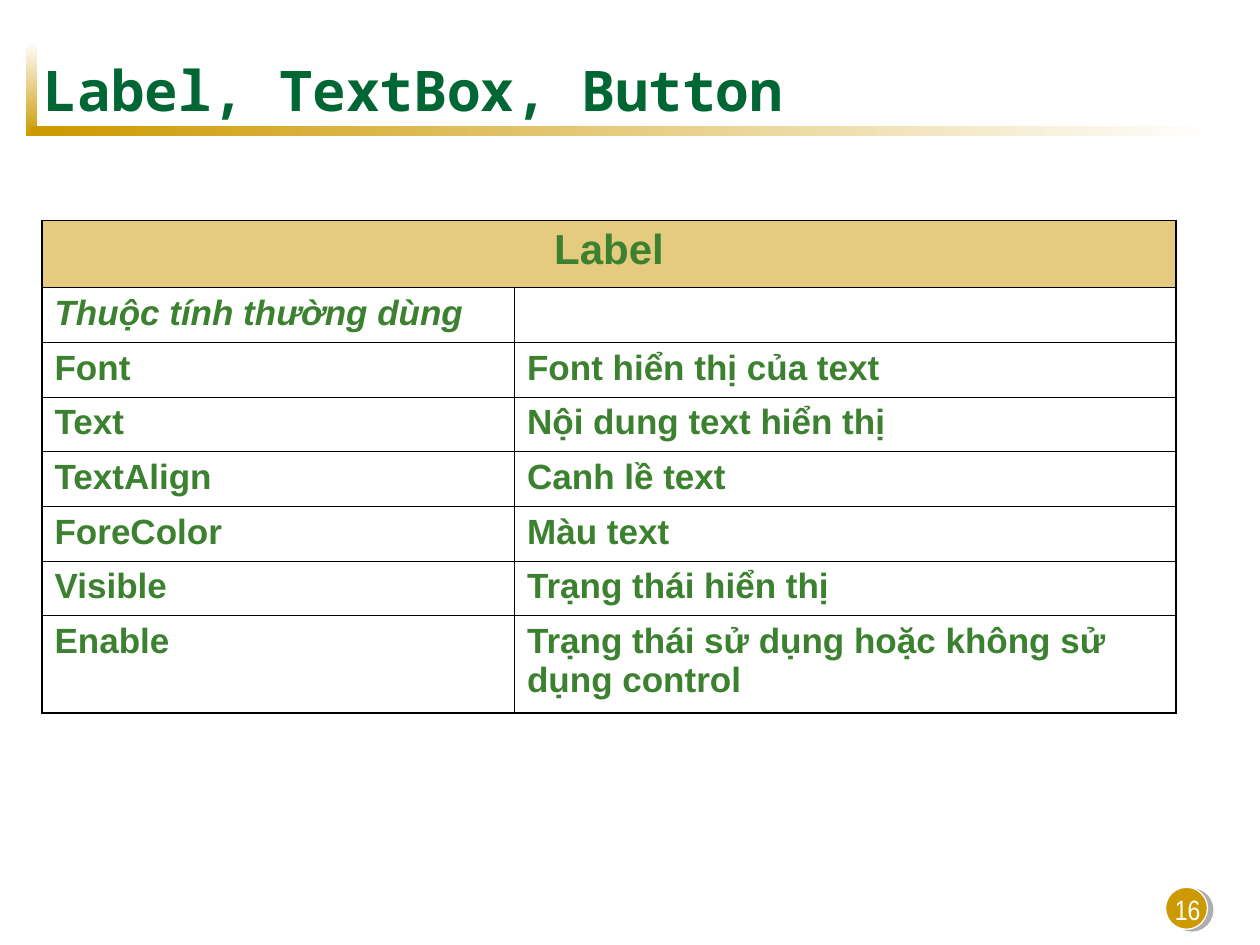
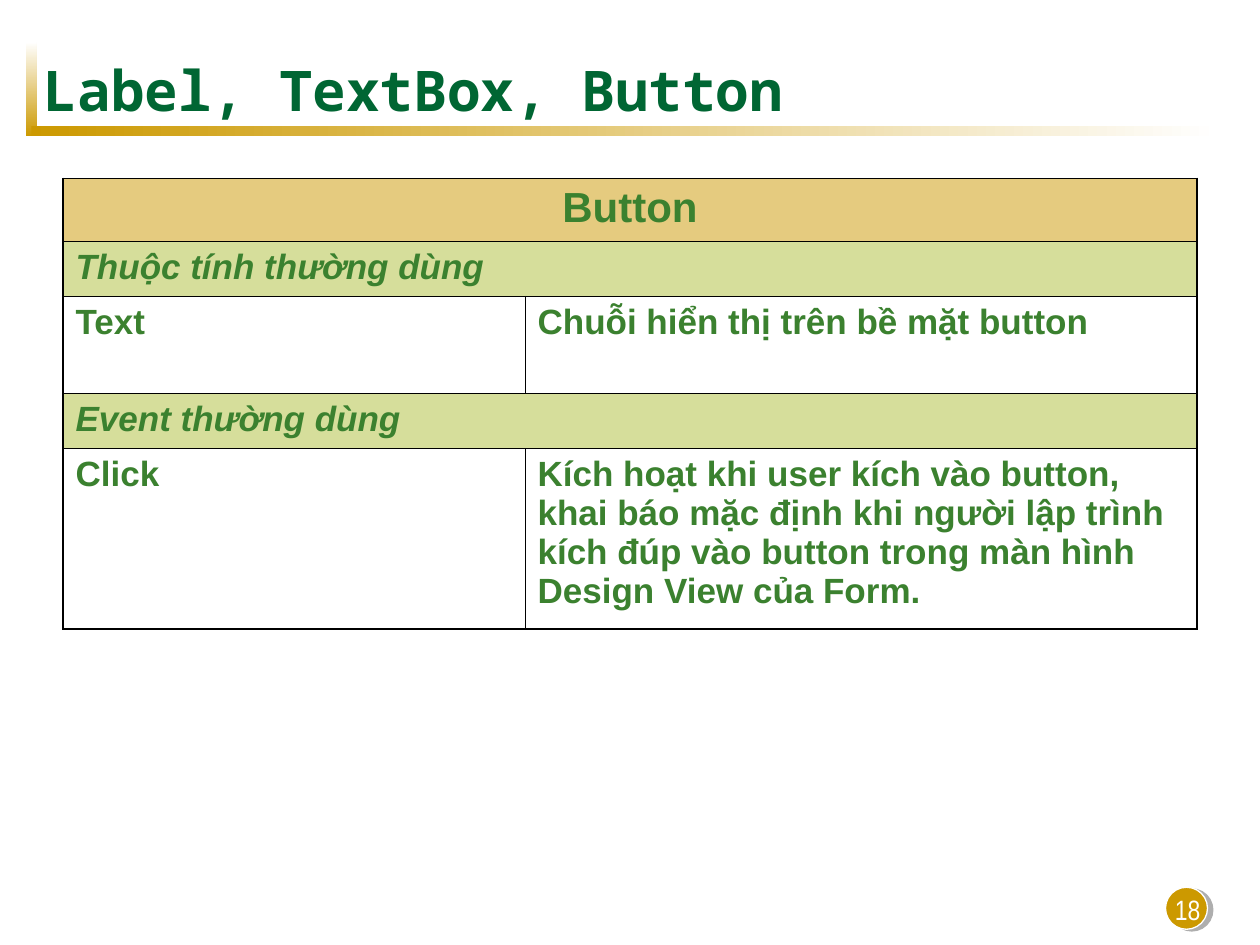
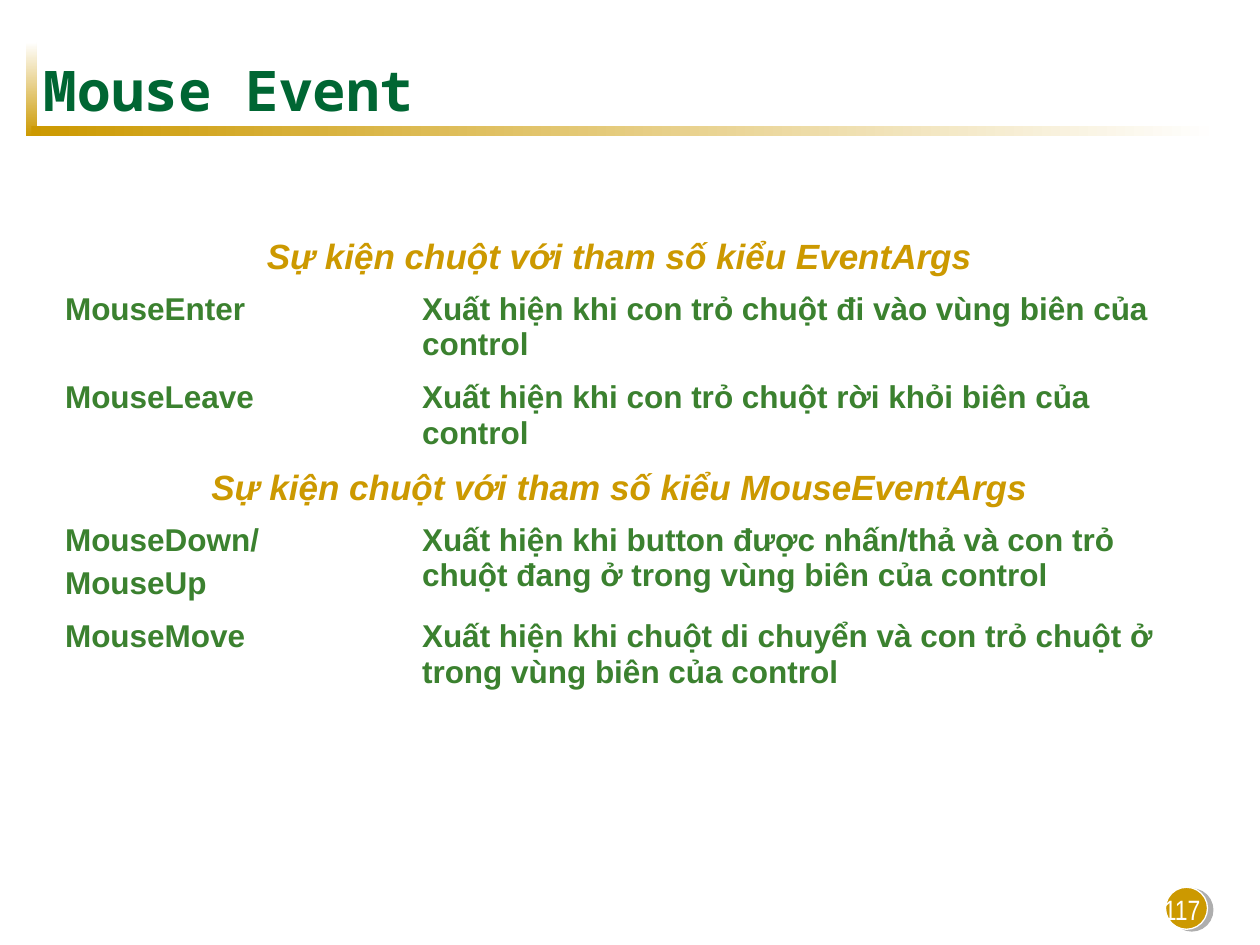
from collections import namedtuple

from lxml.etree import SubElement
from pptx import Presentation
from pptx.dml.color import RGBColor as RGB
from pptx.enum.shapes import MSO_SHAPE as SHAPE
from pptx.enum.text import MSO_ANCHOR as ANCHOR, PP_ALIGN as ALIGN
from pptx.oxml.ns import qn
from pptx.util import Pt

PX = 7620
COLORS = {
    "white": "FFFFFF",
    "black": "000000",
    "gold": "CC9900",
    "lime": "AFBF39",
    "title": "006633",
    "text": "3B812F",
    "shadow": "5F5F5F",
}
NO_GRID_STYLE = "{2D5ABB26-0587-4C30-8999-92F81FD0307C}"
OUTER, INNER = 1.08, 0.45

RowStyle = namedtuple("RowStyle", "size color italic align fill")
ROW_STYLES = {
    "head": RowStyle(24, "text", False, ALIGN.CENTER, "gold"),
    "band": RowStyle(20, "text", True, ALIGN.LEFT, "lime"),
    "label": RowStyle(20, "text", True, ALIGN.LEFT, None),
    "body": RowStyle(20, "text", False, ALIGN.LEFT, None),
    "group": RowStyle(20, "gold", True, ALIGN.CENTER, None),
    "event": RowStyle(18, "text", False, ALIGN.LEFT, None),
}

LABEL_ROWS = [
    ("head", 64, "Label"),
    ("label", 52, "Thuộc tính thường dùng", ""),
    ("body", 52, "Font", "Font hiển thị của text"),
    ("body", 52, "Text", "Nội dung text hiển thị"),
    ("body", 52, "TextAlign", "Canh lề text"),
    ("body", 52, "ForeColor", "Màu text"),
    ("body", 52, "Visible", "Trạng thái hiển thị"),
    ("body", 93, "Enable", "Trạng thái sử dụng hoặc không sử dụng control"),
]
BUTTON_ROWS = [
    ("head", 60, "Button"),
    ("band", 52, "Thuộc tính thường dùng"),
    ("body", 93, "Text", "Chuỗi hiển thị trên bề mặt button"),
    ("band", 52, "Event thường dùng"),
    ("body", 172, "Click",
     "Kích hoạt khi user kích vào button, khai báo mặc định khi người lập trình "
     "kích đúp vào button trong màn hình Design View của Form."),
]
MOUSE_ROWS = [
    ("group", 52, "Sự kiện chuột với tham số kiểu EventArgs"),
    ("event", 84, "MouseEnter", "Xuất hiện khi con trỏ chuột đi vào vùng biên của control"),
    ("event", 84, "MouseLeave", "Xuất hiện khi con trỏ chuột rời khỏi biên của control"),
    ("group", 52, "Sự kiện chuột với tham số kiểu MouseEventArgs"),
    ("event", 91, "MouseDown/\nMouseUp",
     "Xuất hiện khi button được nhấn/thả và con trỏ chuột đang ở trong vùng biên của control"),
    ("event", 84, "MouseMove",
     "Xuất hiện khi chuột di chuyển và con trỏ chuột ở trong vùng biên của control"),
]


def rgb(name):
    """Return the named colour."""
    return RGB.from_string(COLORS[name])


def add_color(parent, name, alpha=None):
    """Append a colour element, optionally with an opacity in percent."""
    clr = SubElement(parent, qn("a:srgbClr"), val=COLORS[name])
    if alpha is not None:
        SubElement(clr, qn("a:alpha"), val=str(alpha * 1000))


class Deck:
    """Hold the style and the current slide, and draw its elements."""

    def __init__(self):
        """Start a presentation of 1200 by 900 px."""
        self.prs = Presentation()
        self.prs.slide_width, self.prs.slide_height = 1200 * PX, 900 * PX
        self.s = None

    def slide(self, title, number):
        """Add a slide with its title, bars and page number."""
        self.s = self.prs.slides.add_slide(self.prs.slide_layouts[6])
        self.bar(25, 40, 10, 90, 90)
        self.bar(30, 120, 1130, 10, 0)
        self.badge(1110, 845, 40)
        self.text(875, 828, 280, 60, str(number), "Arial Narrow", 16, "white",
                  align=ALIGN.RIGHT, anchor=ANCHOR.BOTTOM)
        self.text(30, 50, 1080, 70, title, "Noto Sans Mono", 32, "title", bold=True)

    def shape(self, kind, x, y, w, h):
        """Add a preset shape without shadow."""
        sp = self.s.shapes.add_shape(kind, x * PX, y * PX, w * PX, h * PX)
        sp.shadow.inherit = False
        return sp

    def bar(self, x, y, w, h, angle):
        """Add a bar that fades from gold to white."""
        sp = self.shape(SHAPE.RECTANGLE, x, y, w, h)
        sp.line.fill.background()
        sp.fill.gradient()
        sp.fill.gradient_angle = angle
        for stop, name in zip(sp.fill.gradient_stops, ("gold", "white")):
            stop.color.rgb = rgb(name)

    def badge(self, x, y, size):
        """Add the gold disc with a hard shadow."""
        sp = self.shape(SHAPE.OVAL, x, y, size, size)
        sp.fill.solid()
        sp.fill.fore_color.rgb = rgb("gold")
        sp.line.color.rgb = rgb("white")
        sp.line.width = Pt(0.75)
        effects = sp._element.spPr.find(qn("a:effectLst"))
        shadow = SubElement(effects, qn("a:outerShdw"), blurRad="0", dist=str(Pt(3.2)),
                            dir=str(18 * 60000), algn="ctr", rotWithShape="0")
        add_color(shadow, "shadow", 50)

    def text(self, x, y, w, h, text, font, size, color, bold=False,
             align=ALIGN.LEFT, anchor=ANCHOR.MIDDLE):
        """Add a text box."""
        tf = self.s.shapes.add_textbox(x * PX, y * PX, w * PX, h * PX).text_frame
        tf.word_wrap = True
        tf.vertical_anchor = anchor
        tf.text = text
        self.format(tf, font, size, color, bold, False, align)

    def format(self, tf, font, size, color, bold, italic, align):
        """Format every paragraph of a text frame."""
        for i, p in enumerate(tf.paragraphs):
            p.alignment = align
            if i:
                p.space_before = Pt(4.5)
            for r in p.runs:
                r.font.name, r.font.size = font, Pt(size)
                r.font.bold, r.font.italic = bold, italic
                r.font.color.rgb = rgb(color)

    def borders(self, cell, left, right, top, bottom):
        """Give a cell borders of the given widths in points."""
        tcPr = cell._tc.get_or_add_tcPr()
        for side, width in zip("LRTB", (left, right, top, bottom)):
            ln = SubElement(tcPr, qn(f"a:ln{side}"), w=str(Pt(width)))
            add_color(SubElement(ln, qn("a:solidFill")), "black")

    def table(self, x, y, widths, rows, ruled=True):
        """Add a table; a row with a single text spans all columns."""
        heights = [row[1] for row in rows]
        frame = self.s.shapes.add_table(len(rows), len(widths), x * PX, y * PX,
                                        sum(widths) * PX, sum(heights) * PX)
        tbl = frame.table
        tbl.first_row = tbl.horz_banding = False
        tbl._tbl.tblPr.find(qn("a:tableStyleId")).text = NO_GRID_STYLE
        for col, width in zip(tbl.columns, widths):
            col.width = width * PX
        last_row, last_col = len(rows) - 1, len(widths) - 1
        for i, (role, height, *texts) in enumerate(rows):
            tbl.rows[i].height = height * PX
            merged = len(texts) == 1
            if merged:
                tbl.cell(i, 0).merge(tbl.cell(i, last_col))
            for j in range(len(widths)):
                cell = tbl.cell(i, j)
                if ruled:
                    self.borders(cell,
                                 OUTER if j == 0 else INNER,
                                 OUTER if merged or j == last_col else INNER,
                                 OUTER if i == 0 else INNER,
                                 OUTER if i == last_row else INNER)
                self.cell(cell, ROW_STYLES[role], texts[j] if j < len(texts) else "")

    def cell(self, cell, style, text):
        """Fill a table cell and set its text."""
        if style.fill:
            cell.fill.solid()
            cell.fill.fore_color.rgb = rgb(style.fill)
            clr = cell._tc.tcPr.find(qn("a:solidFill"))[0]
            SubElement(clr, qn("a:alpha"), val="50000")
        else:
            cell.fill.background()
        if text:
            cell.text_frame.text = text
            self.format(cell.text_frame, "Arial", style.size, style.color, True,
                        style.italic, style.align)


def main():
    """Build the three slides."""
    deck = Deck()
    deck.slide("Label, TextBox, Button", 16)
    deck.table(40, 210, (450, 630), LABEL_ROWS)
    deck.slide("Label, TextBox, Button", 18)
    deck.table(60, 170, (440, 640), BUTTON_ROWS)
    deck.slide("Mouse Event", 117)
    deck.table(50, 220, (340, 740), MOUSE_ROWS, ruled=False)
    deck.prs.save("out.pptx")


if __name__ == "__main__":
    main()
